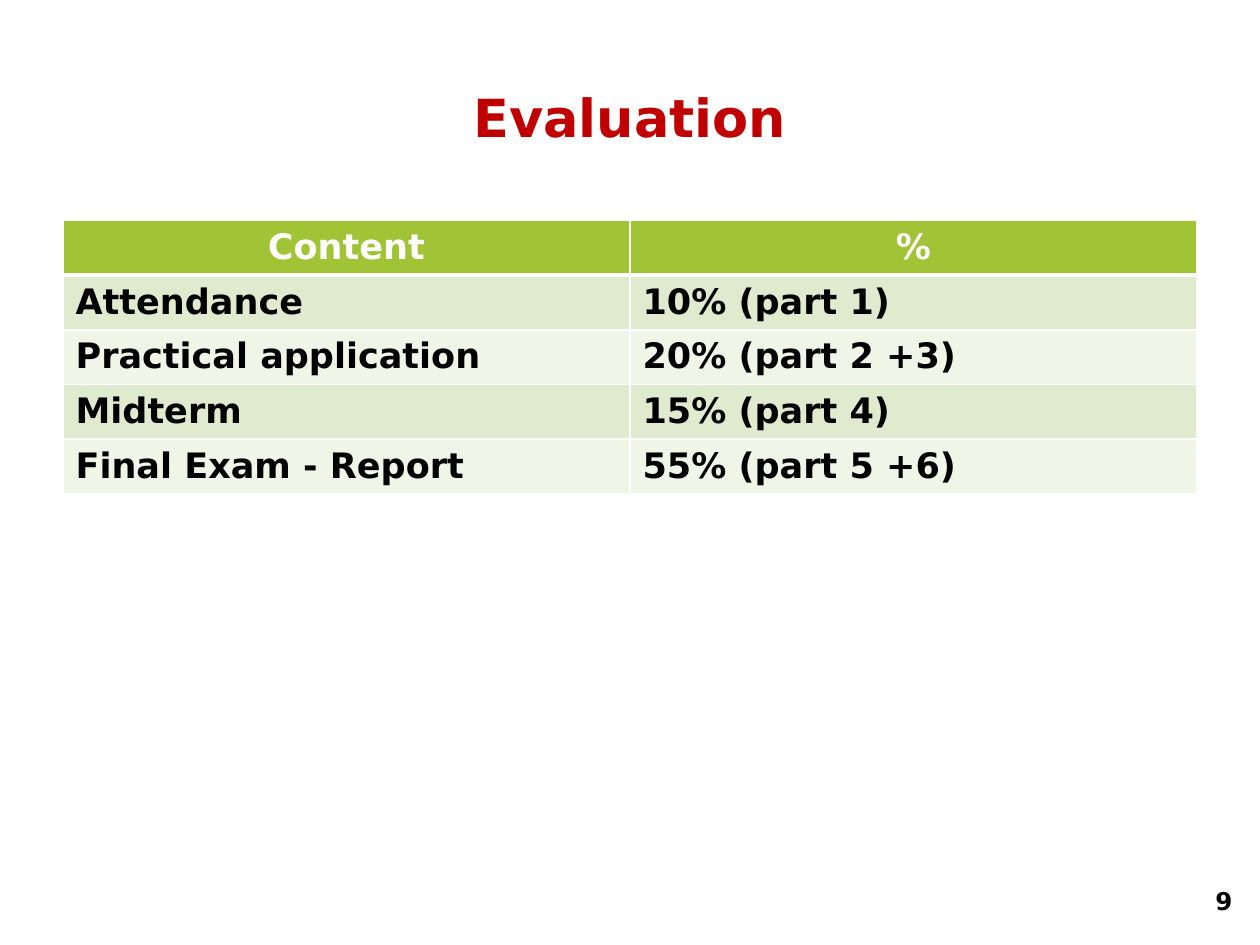
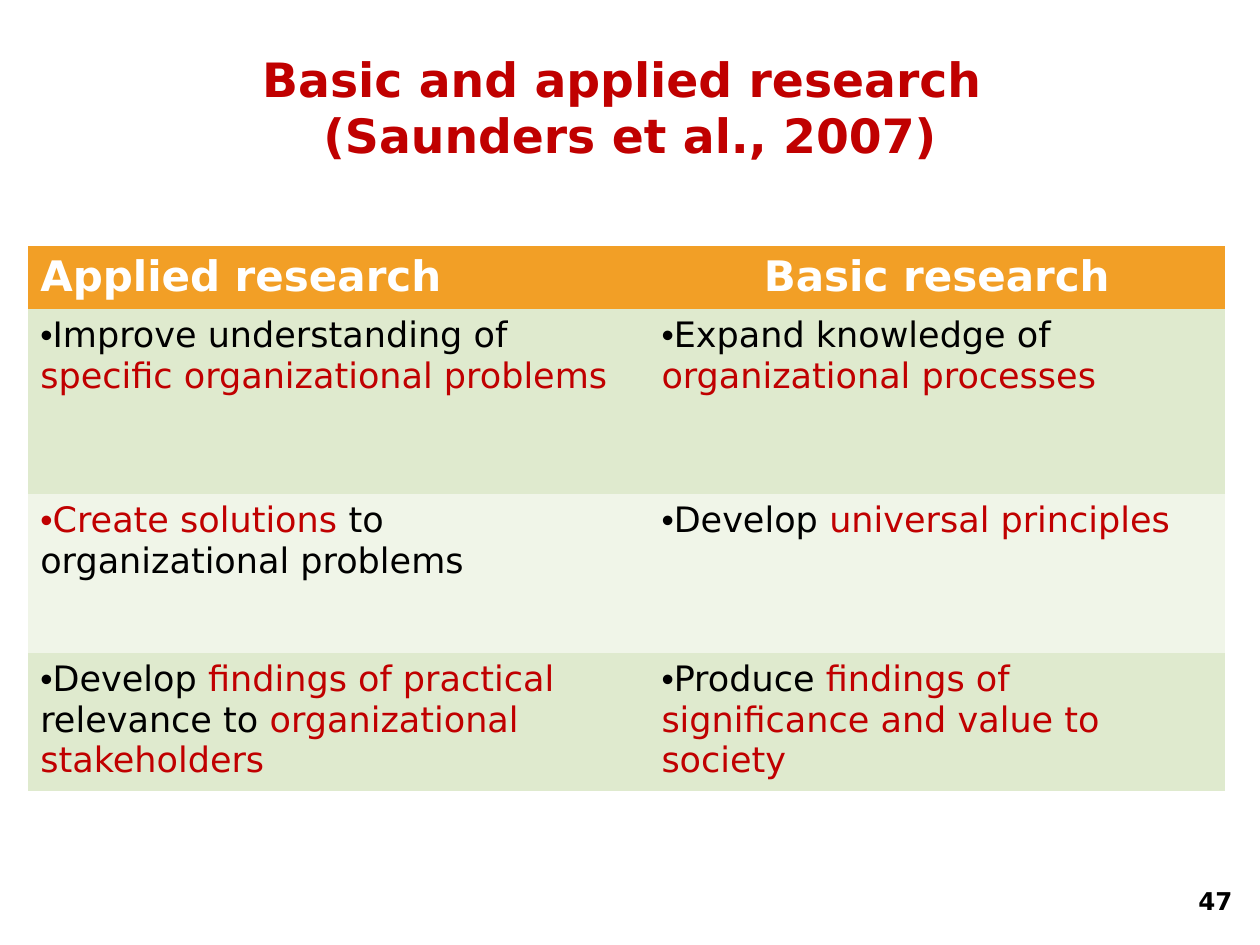
"""Build the evaluation and research comparison slides."""
from lxml.etree import SubElement
from pptx import Presentation
from pptx.dml.color import RGBColor
from pptx.enum.text import MSO_ANCHOR, PP_ALIGN
from pptx.oxml.ns import qn
from pptx.util import Inches, Pt

FONT = "DejaVu Sans"
RED, BLACK, WHITE = "C00000", "000000", "FFFFFF"
BANDS = ["DFEACE", "F0F5E8"]
LEFT, CENTER, RIGHT = PP_ALIGN.LEFT, PP_ALIGN.CENTER, PP_ALIGN.RIGHT


def write_text(frame, text, size, color=BLACK, bold=True, align=LEFT, bullet=False):
    """Write text in a frame; parts between asterisks turn red."""
    frame.word_wrap = True
    paragraph = frame.paragraphs[0]
    paragraph.alignment = align
    if bullet:
        properties = paragraph._p.get_or_add_pPr()
        properties.set("marL", "0")
        properties.set("indent", "0")
        SubElement(properties, qn("a:buFont"), typeface="Arial")
        SubElement(properties, qn("a:buChar"), char="•")
    for line_number, line in enumerate(text.split("\n")):
        if line_number:
            paragraph.add_line_break()
        for part_number, part in enumerate(line.split("*")):
            if part:
                run = paragraph.add_run()
                run.text = part
                run.font.name = FONT
                run.font.size = Pt(size)
                run.font.bold = bold
                run.font.color.rgb = RGBColor.from_string(RED if part_number % 2 else color)


def format_cell(cell, fill, borders):
    """Set the four borders of a cell, then its fill."""
    properties = cell._tc.get_or_add_tcPr()
    for side, width in zip("LRTB", borders):
        line = SubElement(properties, qn(f"a:ln{side}"), w=str(Pt(width)))
        if width:
            solid = SubElement(line, qn("a:solidFill"))
            SubElement(solid, qn("a:srgbClr"), val=WHITE)
        else:
            SubElement(line, qn("a:noFill"))
    cell.fill.solid()
    cell.fill.fore_color.rgb = RGBColor.from_string(fill)


evaluation = {
    "title": "Evaluation", "title_size": 30, "title_height": 1.25, "number": "9",
    "left": 0.5, "top": 1.75, "height": 2.17, "columns": [4.5, 4.5], "rows": [0.41] * 5,
    "header_fill": "A0C435", "header_size": 20, "header_align": [CENTER, CENTER],
    "bold": True, "bullet": False, "ruled": True,
    "cells": [
        ["Content", "%"],
        ["Attendance", "10% (part 1)"],
        ["Practical application", "20% (part 2 +3)"],
        ["Midterm", "15% (part 4)"],
        ["Final Exam - Report", "55% (part 5 +6)"],
    ],
}
research = {
    "title": "Basic and applied research \n(Saunders et al., 2007)",
    "title_size": 27, "title_height": 1.09, "number": "47",
    "left": 0.22, "top": 1.95, "height": 4.33, "columns": [4.93, 4.57],
    "rows": [0.41, 1.47, 1.26, 0.41],
    "header_fill": "F29F26", "header_size": 24, "header_align": [LEFT, CENTER],
    "bold": False, "bullet": True, "ruled": False,
    "cells": [
        ["Applied research", "Basic research"],
        ["Improve understanding of *specific organizational problems*",
         "Expand knowledge of *organizational processes*"],
        ["*Create solutions *to organizational problems",
         "Develop *universal principles*"],
        ["Develop *findings of practical *relevance to *organizational stakeholders*",
         "Produce *findings of significance and value to society*"],
    ],
}

presentation = Presentation()
presentation.slide_width, presentation.slide_height = Inches(10), Inches(7.5)

for content in (evaluation, research):
    slide = presentation.slides.add_slide(presentation.slide_layouts[6])

    title = slide.shapes.add_textbox(
        Inches(0.5), Inches(0.3), Inches(9), Inches(content["title_height"]))
    title.text_frame.vertical_anchor = MSO_ANCHOR.MIDDLE
    write_text(title.text_frame, content["title"], content["title_size"], color=RED, align=CENTER)

    columns, rows = content["columns"], content["rows"]
    table_shape = slide.shapes.add_table(
        len(rows), len(columns), Inches(content["left"]), Inches(content["top"]),
        Inches(sum(columns)), Inches(content["height"]))
    table = table_shape.table
    for column, width in zip(table.columns, columns):
        column.width = Inches(width)
    for row, height in zip(table.rows, rows):
        row.height = Inches(height)
    table_shape.height = Inches(content["height"])

    for row_number, texts in enumerate(content["cells"]):
        top = 3 if row_number == 1 else 1
        bottom = 3 if row_number == 0 else 1
        borders = [1, 1, top, bottom] if content["ruled"] else [0] * 4
        for column_number, text in enumerate(texts):
            cell = table.cell(row_number, column_number)
            if row_number == 0:
                format_cell(cell, content["header_fill"], borders)
                write_text(cell.text_frame, text, content["header_size"], color=WHITE,
                           align=content["header_align"][column_number])
            else:
                format_cell(cell, BANDS[(row_number - 1) % 2], borders)
                write_text(cell.text_frame, text, 20, bold=content["bold"],
                           bullet=content["bullet"])

    page_number = slide.shapes.add_textbox(Inches(7.55), Inches(6.98), Inches(2.33), Inches(0.4))
    write_text(page_number.text_frame, content["number"], 14, align=RIGHT)

presentation.save("out.pptx")
